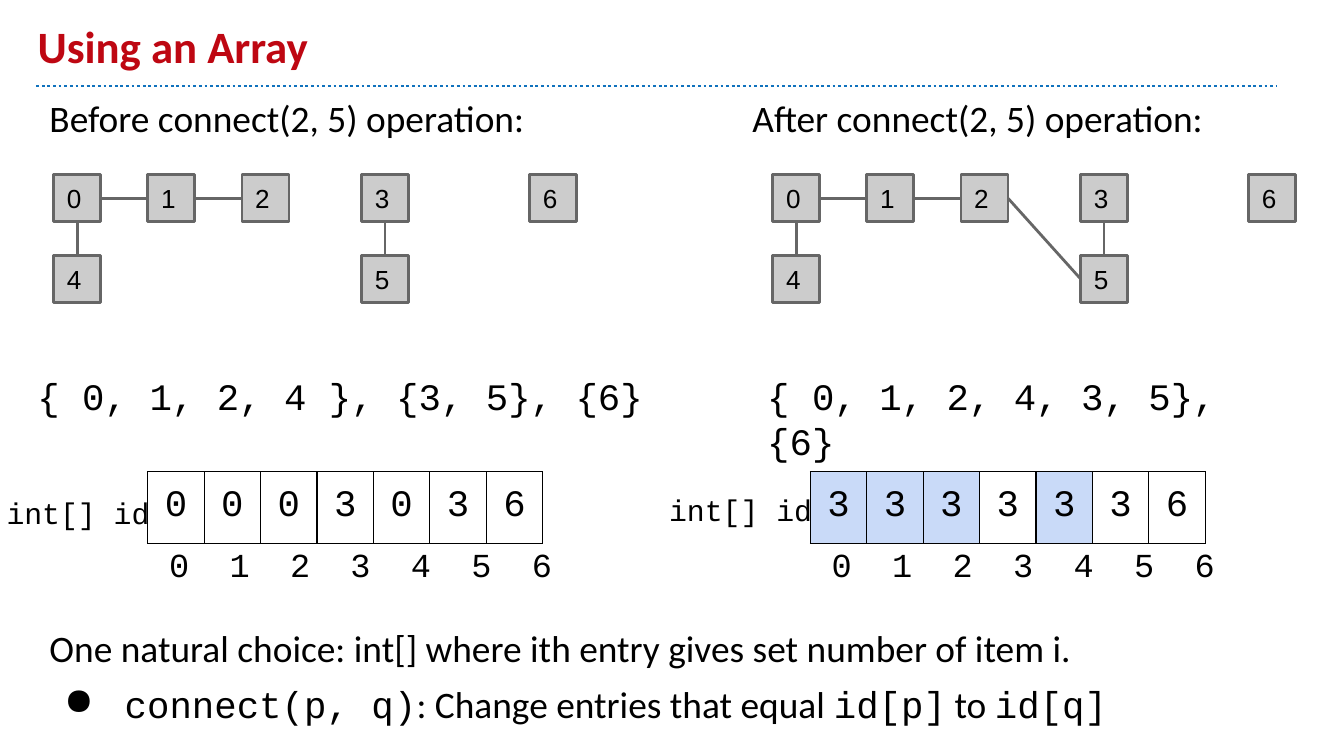
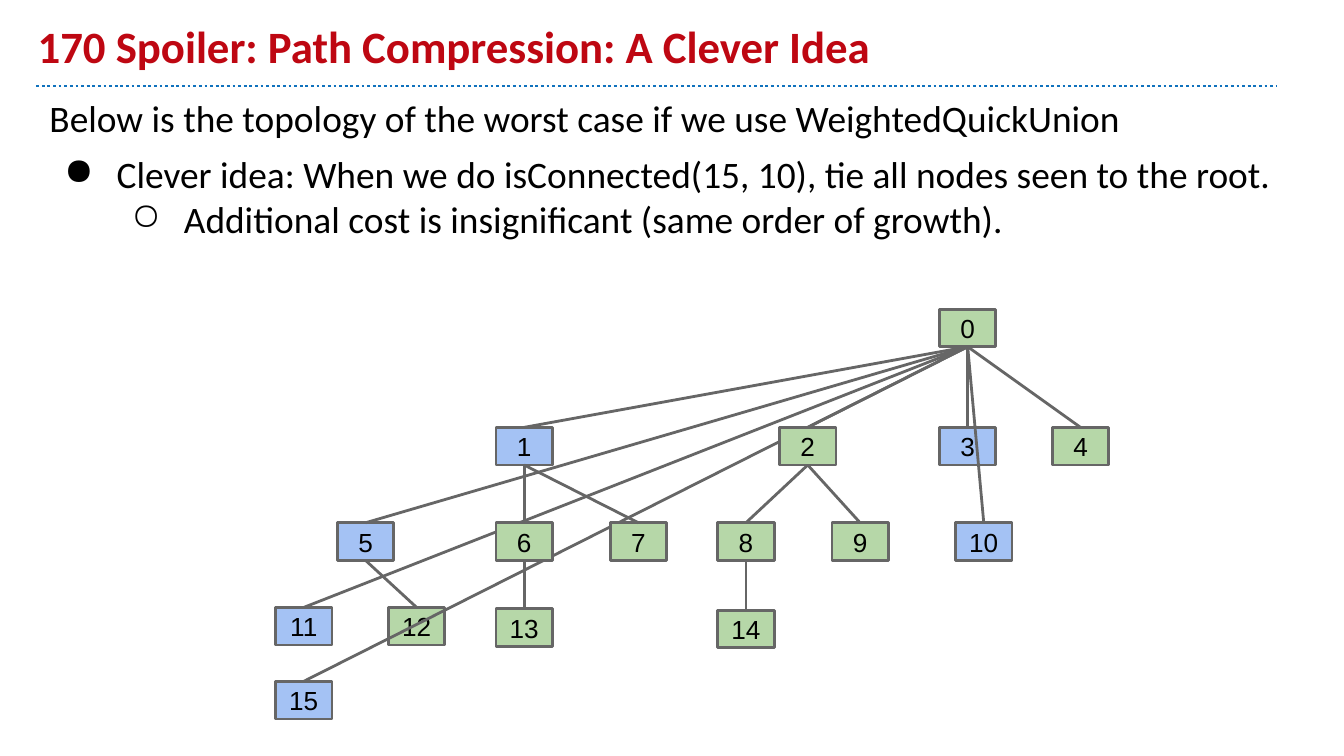
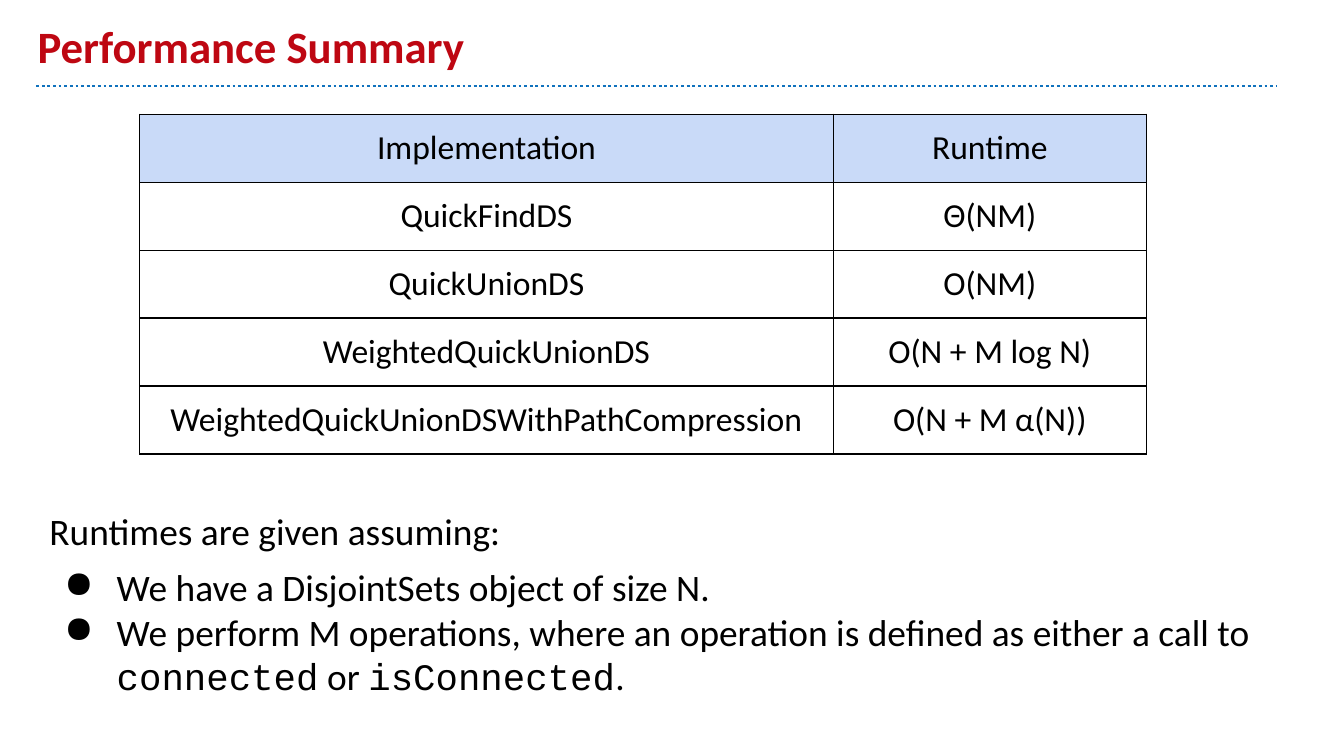
"""Build three slides on disjoint sets: arrays, path compression and runtimes."""

from dataclasses import dataclass

from lxml.etree import SubElement
from pptx import Presentation
from pptx.dml.color import RGBColor
from pptx.enum.dml import MSO_LINE
from pptx.enum.shapes import MSO_CONNECTOR, MSO_SHAPE
from pptx.enum.text import MSO_ANCHOR, MSO_AUTO_SIZE, PP_ALIGN
from pptx.oxml.ns import qn
from pptx.util import Emu, Pt

EMU_PER_PX = 9144
INSET = 10
TOP, LEFT, BOTTOM, RIGHT = 0, 1, 2, 3

BLACK = RGBColor(0x00, 0x00, 0x00)
TITLE_RED = RGBColor(0xBE, 0x07, 0x12)
RULE_BLUE = RGBColor(0x10, 0x72, 0xBD)
LINE_GRAY = RGBColor(0x66, 0x66, 0x66)
NODE_GRAY = RGBColor(0xCC, 0xCC, 0xCC)
NODE_BLUE = RGBColor(0xA4, 0xC2, 0xF4)
NODE_GREEN = RGBColor(0xB6, 0xD7, 0xA8)
CELL_BLUE = RGBColor(0xC9, 0xDA, 0xF8)

PROSE = "Calibri"
CODE = "Courier New"
LABEL = "Arial"


@dataclass(frozen=True)
class Box:
    left: int
    top: int
    width: int
    height: int


@dataclass(frozen=True)
class Line:
    text: str
    bullet: str = ""
    margin: int = 0
    hanging: int = 39
    before: int = 0
    tabs: tuple[int, ...] = ()


@dataclass(frozen=True)
class Panel:
    graph_left: int
    sets: str
    sets_box: Box
    array_left: int
    caption_top: int
    ids: str
    changed: tuple[int, ...]
    edges: tuple[tuple[str, int, str, int], ...]


@dataclass(frozen=True)
class TreeNode:
    label: str
    left: int
    top: int
    parent: str
    fill: RGBColor = NODE_GREEN


GRAPH_POSITIONS = {
    "0": (0, 130), "1": (70, 130), "2": (140, 130), "3": (229, 130),
    "4": (0, 190), "5": (229, 190), "6": (354, 130),
}
GRAPH_EDGES = (
    ("0", BOTTOM, "4", TOP),
    ("0", RIGHT, "1", LEFT),
    ("1", RIGHT, "2", LEFT),
    ("3", BOTTOM, "5", TOP),
)
PANELS = (
    Panel(40, "{ 0, 1, 2, 4 }, {3, 5}, {6}", Box(18, 268, 485, 67),
          110, 358, "0003036", (), GRAPH_EDGES),
    Panel(575, "{ 0, 1, 2, 4, 3, 5}, {6}", Box(561, 268, 415, 67),
          603, 356, "3333336", (0, 1, 2, 4), GRAPH_EDGES + (("2", RIGHT, "5", LEFT),)),
)
TREE = (
    TreeNode("12", 289, 452, "5"),
    TreeNode("5", 251, 389, "0", NODE_BLUE),
    TreeNode("11", 205, 452, "0", NODE_BLUE),
    TreeNode("15", 205, 507, "0", NODE_BLUE),
    TreeNode("13", 369, 453, "6"),
    TreeNode("6", 369, 389, "1"),
    TreeNode("1", 369, 318, "0", NODE_BLUE),
    TreeNode("7", 454, 389, "1"),
    TreeNode("14", 534, 454, "8"),
    TreeNode("8", 534, 389, "2"),
    TreeNode("2", 580, 318, "0"),
    TreeNode("9", 619, 389, "2"),
    TreeNode("3", 699, 318, "0", NODE_BLUE),
    TreeNode("10", 711, 389, "0", NODE_BLUE),
    TreeNode("0", 699, 230, ""),
    TreeNode("4", 783, 318, "0"),
)
RUNTIMES = (
    ("Implementation", "Runtime"),
    ("QuickFindDS", "Θ(NM)"),
    ("QuickUnionDS", "O(NM)"),
    ("WeightedQuickUnionDS", "O(N + M log N)"),
    ("WeightedQuickUnionDSWithPathCompression", "O(N + M α(N))"),
)


def px(length: int) -> Emu:
    """Turn a length in px into EMU."""
    return Emu(length * EMU_PER_PX)


def place(box: Box) -> tuple[Emu, ...]:
    """Give the left, top, width and height of a box in EMU."""
    return px(box.left), px(box.top), px(box.width), px(box.height)


def set_font(font, name: str, size: int, color: RGBColor = BLACK) -> None:
    """Format a font."""
    font.name = name
    font.size = Pt(size)
    font.color.rgb = color


def set_insets(target) -> None:
    """Give a text frame or a cell equal margins."""
    target.margin_left = target.margin_right = px(INSET)
    target.margin_top = target.margin_bottom = px(INSET)


def add_bullet(paragraph, line: Line) -> None:
    """Give a paragraph a black bullet with a hanging indent."""
    properties = paragraph._p.get_or_add_pPr()
    properties.set("marL", str(px(line.margin)))
    properties.set("indent", str(px(-line.hanging)))
    color = SubElement(properties, qn("a:buClr"))
    SubElement(color, qn("a:srgbClr"), val=str(BLACK))
    SubElement(properties, qn("a:buChar"), char=line.bullet)


def add_tabs(paragraph, stops: tuple[int, ...]) -> None:
    """Set left tab stops on a paragraph."""
    tab_list = SubElement(paragraph._p.get_or_add_pPr(), qn("a:tabLst"))
    for stop in stops:
        SubElement(tab_list, qn("a:tab"), pos=str(px(stop)), algn="l")


def add_text(slide, box: Box, lines: tuple[Line, ...], name: str = PROSE, size: int = 20) -> None:
    """Add a text box; text between backticks is set as code."""
    frame = slide.shapes.add_textbox(*place(box)).text_frame
    frame.word_wrap = True
    set_insets(frame)
    for index, line in enumerate(lines):
        paragraph = frame.paragraphs[0] if index == 0 else frame.add_paragraph()
        if line.before:
            paragraph.space_before = Pt(line.before)
        if line.bullet:
            add_bullet(paragraph, line)
        if line.tabs:
            add_tabs(paragraph, line.tabs)
        set_font(paragraph.font, name, size)
        for part, text in enumerate(line.text.split("`")):
            if text:
                run = paragraph.add_run()
                run.text = text
                if part % 2:
                    run.font.name = CODE


def add_node(slide, label: str, box: Box, fill: RGBColor, alignment: PP_ALIGN):
    """Add a labelled rectangle."""
    shape = slide.shapes.add_shape(MSO_SHAPE.RECTANGLE, *place(box))
    shape.shadow.inherit = False
    shape.fill.solid()
    shape.fill.fore_color.rgb = fill
    shape.line.color.rgb = LINE_GRAY
    shape.line.width = Pt(1.5)
    frame = shape.text_frame
    frame.vertical_anchor = MSO_ANCHOR.MIDDLE
    set_insets(frame)
    paragraph = frame.paragraphs[0]
    paragraph.text = label
    paragraph.alignment = alignment
    set_font(paragraph.font, LABEL, 14)
    return shape


def add_line(slide, color: RGBColor, start: tuple[int, int] = (0, 0), end: tuple[int, int] = (0, 0)):
    """Add a straight line without a shadow."""
    connector = slide.shapes.add_connector(
        MSO_CONNECTOR.STRAIGHT, *(px(value) for value in start + end))
    connector.line.color.rgb = color
    connector.line.width = Pt(1.5)
    SubElement(connector._element.spPr, qn("a:effectLst"))
    return connector


def join(slide, first, first_side: int, second, second_side: int) -> None:
    """Join the sides of two rectangles."""
    connector = add_line(slide, LINE_GRAY)
    connector.begin_connect(first, first_side)
    connector.end_connect(second, second_side)


def add_table(slide, left: int, top: int, rows, widths: tuple[int, ...],
              shaded: set[tuple[int, int]], name: str, size: int) -> None:
    """Add a ruled table of centred text with some cells shaded."""
    height = 42
    box = Box(left, top, sum(widths), height * len(rows))
    table = slide.shapes.add_table(len(rows), len(widths), *place(box)).table
    table.first_row = table.horz_banding = False
    for column, width in zip(table.columns, widths):
        column.width = px(width)
    for row_index, row in enumerate(rows):
        for column_index, text in enumerate(row):
            cell = table.cell(row_index, column_index)
            set_insets(cell)
            properties = cell._tc.get_or_add_tcPr()
            for side in ("lnL", "lnR", "lnT", "lnB"):
                border = SubElement(properties, qn(f"a:{side}"), w=str(Pt(0.75)))
                fill = SubElement(border, qn("a:solidFill"))
                SubElement(fill, qn("a:srgbClr"), val=str(BLACK))
            if (row_index, column_index) in shaded:
                cell.fill.solid()
                cell.fill.fore_color.rgb = CELL_BLUE
            else:
                cell.fill.background()
            paragraph = cell.text_frame.paragraphs[0]
            paragraph.text = text
            paragraph.alignment = PP_ALIGN.CENTER
            set_font(paragraph.font, name, size)


def add_titled_slide(presentation, title: str):
    """Add a slide with a red title over a dotted rule."""
    slide = presentation.slides.add_slide(presentation.slide_layouts[5])
    add_line(slide, RULE_BLUE, (27, 64), (950, 64)).line.dash_style = MSO_LINE.ROUND_DOT
    shape = slide.shapes.title
    shape.left, shape.top, shape.width, shape.height = place(Box(18, 10, 900, 54))
    frame = shape.text_frame
    frame.auto_size = MSO_AUTO_SIZE.NONE
    frame.vertical_anchor = MSO_ANCHOR.BOTTOM
    set_insets(frame)
    paragraph = frame.paragraphs[0]
    paragraph.text = title
    paragraph.alignment = PP_ALIGN.LEFT
    set_font(paragraph.font, PROSE, 24, TITLE_RED)
    paragraph.font.bold = True
    return slide


def add_panel(slide, panel: Panel) -> None:
    """Add a graph with its sets and its id array."""
    nodes = {
        label: add_node(slide, label, Box(panel.graph_left + left, top, 35, 35),
                        NODE_GRAY, PP_ALIGN.LEFT)
        for label, (left, top) in GRAPH_POSITIONS.items()
    }
    for first, first_side, second, second_side in panel.edges:
        join(slide, nodes[first], first_side, nodes[second], second_side)
    add_text(slide, panel.sets_box, (Line(panel.sets),), CODE)
    count = len(panel.ids)
    add_table(slide, panel.array_left, 351, (panel.ids,), (42,) * count,
              {(0, index) for index in panel.changed}, CODE, 20)
    indices = Line("\t".join(str(index) for index in range(count)),
                   tabs=tuple(45 * index for index in range(1, count)))
    add_text(slide, Box(panel.array_left + 6, 395, 326, 30), (indices,), CODE, 18)
    add_text(slide, Box(panel.array_left - 115, panel.caption_top, 142, 35),
             (Line("int[] id"),), CODE, 16)


def build_array_slide(presentation) -> None:
    """Compare the id array before and after a connect call."""
    slide = add_titled_slide(presentation, "Using an Array")
    add_text(slide, Box(27, 61, 923, 67), (
        Line("Before connect(2, 5) operation:\tAfter connect(2, 5) operation:", tabs=(523,)),
    ))
    for panel in PANELS:
        add_panel(slide, panel)
    add_text(slide, Box(27, 455, 923, 67), (
        Line("One natural choice: int[] where ith entry gives set number of item i."),
        Line("`connect(p, q)`: Change entries that equal `id[p]` to `id[q]`",
             "●", 56, 45, before=6),
    ))


def build_tree_slide(presentation) -> None:
    """Show the tree after path compression."""
    slide = add_titled_slide(presentation, "170 Spoiler: Path Compression: A Clever Idea")
    add_text(slide, Box(27, 61, 973, 186), (
        Line("Below is the topology of the worst case if we use WeightedQuickUnion"),
        Line("Clever idea: When we do isConnected(15, 10), tie all nodes seen to the root.",
             "●", 50, before=6),
        Line("Additional cost is insignificant (same order of growth).", "○", 100),
    ))
    shapes = {
        node.label: add_node(slide, node.label, Box(node.left, node.top, 42, 28),
                             node.fill, PP_ALIGN.CENTER)
        for node in TREE
    }
    for node in TREE:
        element = shapes[node.label].element
        element.getparent().append(element)
        if node.parent:
            join(slide, shapes[node.label], TOP, shapes[node.parent], BOTTOM)


def build_runtime_slide(presentation) -> None:
    """Sum up the runtimes in a table."""
    slide = add_titled_slide(presentation, "Performance Summary")
    add_table(slide, 104, 85, RUNTIMES, (516, 233), {(0, 0), (0, 1)}, PROSE, 18)
    add_text(slide, Box(27, 368, 973, 160), (
        Line("Runtimes are given assuming:"),
        Line("We have a DisjointSets object of size N.", "●", 50, before=6),
        Line("We perform M operations, where an operation is defined as either a call to "
             "`connected` or `isConnected`.", "●", 50),
    ))


def main() -> None:
    """Build and save the presentation."""
    presentation = Presentation()
    presentation.slide_width = px(1000)
    presentation.slide_height = Emu(px(1000) * 9 // 16)
    build_array_slide(presentation)
    build_tree_slide(presentation)
    build_runtime_slide(presentation)
    presentation.save("out.pptx")


if __name__ == "__main__":
    main()
